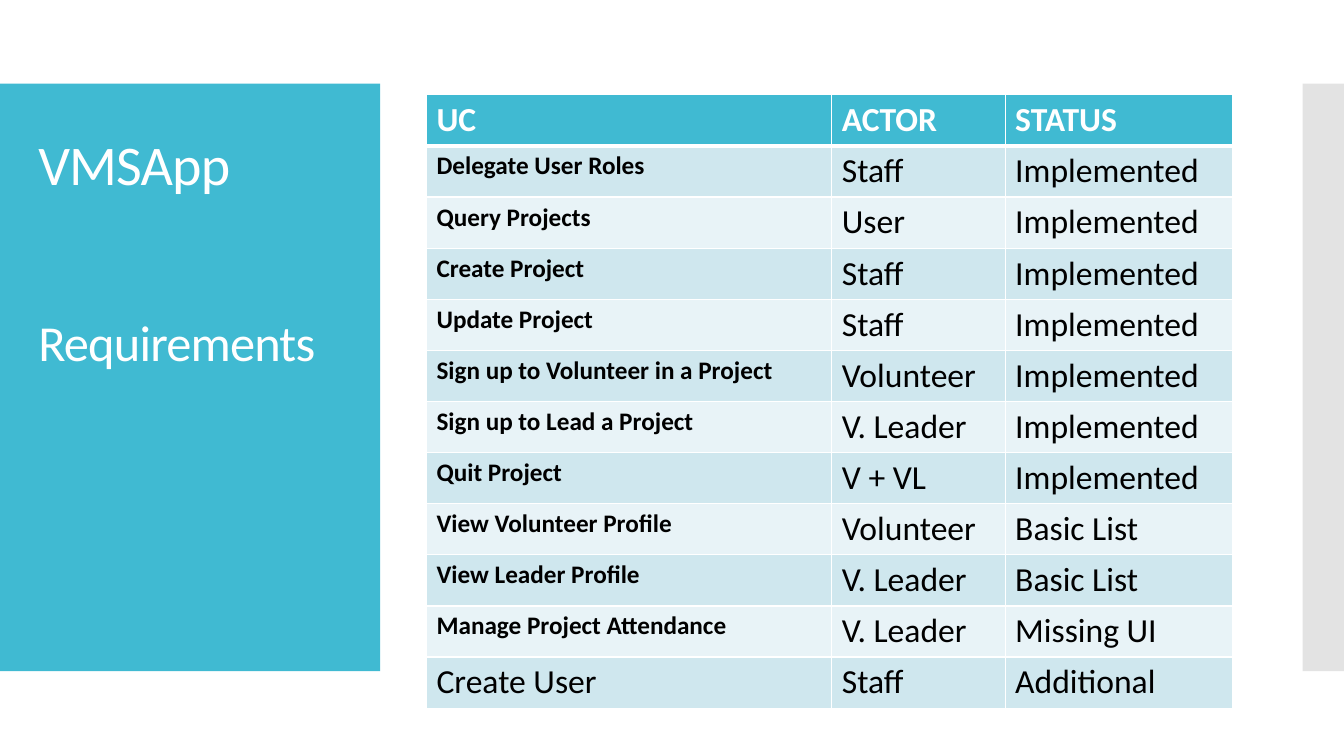
from lxml import etree
from pptx import Presentation
from pptx.dml.color import RGBColor
from pptx.enum.shapes import MSO_SHAPE
from pptx.enum.text import MSO_ANCHOR, PP_ALIGN
from pptx.oxml.ns import qn
from pptx.util import Inches, Pt

RECTANGLE = MSO_SHAPE.RECTANGLE
TOP = MSO_ANCHOR.TOP
LEFT = PP_ALIGN.LEFT

TEAL = RGBColor(0x40, 0xBA, 0xD2)
GREY = RGBColor(0xC8, 0xC8, 0xC8)
WHITE = RGBColor(0xFF, 0xFF, 0xFF)
BLACK = RGBColor(0x00, 0x00, 0x00)
BANDS = (RGBColor(0xE8, 0xF3, 0xF7), RGBColor(0xCF, 0xE7, 0xEE))

HEADINGS = ("UC", "ACTOR", "STATUS")
USE_CASES = [
    ("Delegate User Roles", "Staff", "Implemented"),
    ("Query Projects", "User", "Implemented"),
    ("Create Project", "Staff", "Implemented"),
    ("Update Project", "Staff", "Implemented"),
    ("Sign up to Volunteer in a Project", "Volunteer", "Implemented"),
    ("Sign up to Lead a Project", "V. Leader", "Implemented"),
    ("Quit Project", "V + VL", "Implemented"),
    ("View Volunteer Profile", "Volunteer", "Basic List"),
    ("View Leader Profile", "V. Leader", "Basic List"),
    ("Manage Project Attendance", "V. Leader", "Missing UI"),
]
ADDED_CASE = ("Create User", "Staff", "Additional")


class SlideBuilder:
    """Holds the style and the current slide, and adds each kind of element."""

    font_name = "Calibri"

    def __init__(self, page):
        self.page = page

    def style(self, paragraph, size, color, bold=False):
        paragraph.font.name = self.font_name
        paragraph.font.size = Pt(size)
        paragraph.font.bold = bold
        paragraph.font.color.rgb = color

    def panel(self, left, top, width, height, color, opacity=100):
        box = self.page.shapes.add_shape(
            RECTANGLE, Inches(left), Inches(top), Inches(width), Inches(height))
        box.shadow.inherit = False
        box.line.fill.background()
        box.fill.solid()
        box.fill.fore_color.rgb = color
        if opacity < 100:
            tint = box.element.spPr.find(qn("a:solidFill"))[0]
            etree.SubElement(tint, qn("a:alpha"), val=str(opacity * 1000))

    def title(self, left, top, width, height, lines, gap):
        box = self.page.shapes.title
        box.element.getparent().append(box.element)
        box.left, box.top = Inches(left), Inches(top)
        box.width, box.height = Inches(width), Inches(height)
        frame = box.text_frame
        frame.word_wrap = True
        frame.vertical_anchor = TOP
        frame.margin_top = Inches(0.13)
        frame.text = "\n".join(text for text, size in lines)
        for index, (paragraph, (text, size)) in enumerate(zip(frame.paragraphs, lines)):
            self.style(paragraph, size, WHITE)
            paragraph.alignment = LEFT
            paragraph.line_spacing = 0.9
            paragraph.space_before = Pt(gap if index else 0)
            paragraph.runs[0].font._element.set("spc", "-60")

    def border(self, cell, side, width):
        line = etree.SubElement(
            cell._tc.get_or_add_tcPr(), qn("a:" + side), w=str(Pt(width)))
        fill = etree.SubElement(line, qn("a:solidFill"))
        etree.SubElement(fill, qn("a:srgbClr"), val=str(WHITE))

    def cell(self, cell, text, fill, size, color, bold, top_width, bottom_width):
        for side, width in (("lnL", 1), ("lnR", 1), ("lnT", top_width), ("lnB", bottom_width)):
            self.border(cell, side, width)
        cell.fill.solid()
        cell.fill.fore_color.rgb = fill
        cell.text = text
        self.style(cell.text_frame.paragraphs[0], size, color, bold)

    def table(self, left, top, widths, row_height, rows):
        grid = self.page.shapes.add_table(
            len(rows), len(widths), Inches(left), Inches(top),
            Inches(sum(widths)), Inches(row_height * len(rows))).table
        for column, width in zip(grid.columns, widths):
            column.width = Inches(width)
        for row_index, row in enumerate(rows):
            header = row_index == 0
            for column_index, text in enumerate(row):
                use_case = column_index == 0 and row in USE_CASES
                self.cell(
                    grid.cell(row_index, column_index), text,
                    fill=TEAL if header else BANDS[row_index % 2],
                    size=18 if use_case else 24,
                    color=WHITE if header else BLACK,
                    bold=header or use_case,
                    top_width=3 if row_index == 1 else 1,
                    bottom_width=3 if header else 1)


def main():
    deck = Presentation()
    deck.slide_width, deck.slide_height = Inches(13.33), Inches(7.5)
    builder = SlideBuilder(deck.slides.add_slide(deck.slide_layouts[5]))
    builder.panel(0, 0.83, 3.77, 5.83, TEAL)
    builder.panel(12.92, 0.83, 0.41, 5.83, GREY, opacity=50)
    builder.title(0.28, 1.23, 3.22, 5.03, [("VMSApp", 40), ("Requirements", 36)], gap=86)
    builder.table(4.23, 0.94, (4.02, 1.72, 2.26), 0.5, [HEADINGS, *USE_CASES, ADDED_CASE])
    deck.save("out.pptx")


if __name__ == "__main__":
    main()
